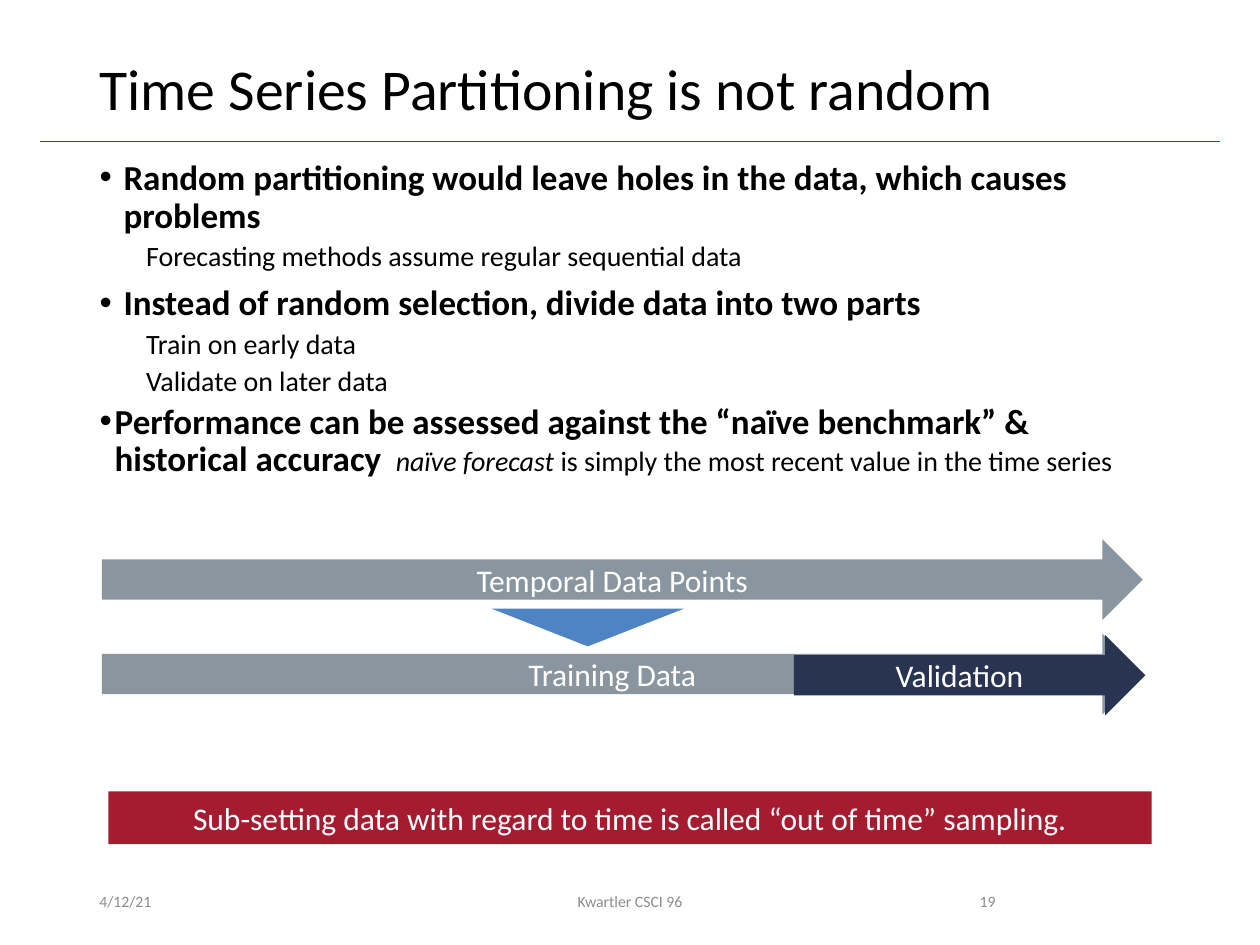
from pptx import Presentation
from pptx.dml.color import RGBColor
from pptx.enum.shapes import MSO_CONNECTOR, MSO_SHAPE
from pptx.enum.text import MSO_ANCHOR, MSO_AUTO_SIZE, PP_ALIGN
from pptx.oxml.ns import qn
from pptx.util import Inches, Pt
from lxml.etree import SubElement

BLACK = RGBColor(0x00, 0x00, 0x00)
WHITE = RGBColor(0xFF, 0xFF, 0xFF)
GREY = RGBColor(0x89, 0x96, 0xA0)
NAVY = RGBColor(0x29, 0x33, 0x52)
BLUE = RGBColor(0x4E, 0x84, 0xC4)
RED = RGBColor(0xA5, 0x1C, 0x30)
PALE = RGBColor(0x8C, 0x8C, 0x8C)

HEAD, SUB, LAST = "head", "sub", "last"
STYLES = {
    HEAD: (0, 0.19, -0.19, 7.5, "•", 20, True),
    SUB: (1, 0.56, -0.19, 3.8, None, 16, False),
    LAST: (1, 0.12, -0.12, 3.8, "•", 20, True),
}
POINTS = [
    (HEAD, "Random partitioning would leave holes in the data, which causes problems"),
    (SUB, "Forecasting methods assume regular sequential data"),
    (HEAD, "Instead of random selection, divide data into two parts"),
    (SUB, "Train on early data"),
    (SUB, "Validate on later data"),
    (LAST, "Performance can be assessed against the “naïve benchmark” & historical accuracy "),
]
TAIL = [
    (" ", False),
    ("naïve forecast ", True),
    ("is simply the most recent value in the time series", False),
]


def place(shape, box):
    shape.left, shape.top, shape.width, shape.height = map(Inches, box)


def style(run, size, color, bold=False, italic=False):
    font = run.font
    font.name, font.size = "Calibri", Pt(size)
    font.bold, font.italic = bold, italic
    font.color.rgb = color


def write(frame, text, size, color, align, anchor=MSO_ANCHOR.MIDDLE):
    frame.text = text
    frame.word_wrap = True
    frame.auto_size = MSO_AUTO_SIZE.NONE
    frame.vertical_anchor = anchor
    para = frame.paragraphs[0]
    para.alignment = align
    style(para.runs[0], size, color)
    return para


def set_bullet(para, margin, indent, mark):
    props = para._p.get_or_add_pPr()
    props.set("marL", str(Inches(margin)))
    props.set("indent", str(Inches(indent)))
    if mark:
        SubElement(props, qn("a:buFont")).set("typeface", "Arial")
        SubElement(props, qn("a:buChar")).set("char", mark)
    else:
        SubElement(props, qn("a:buNone"))


def add_title(slide, box):
    title = slide.shapes.title
    place(title, box)
    para = write(title.text_frame, "Time Series Partitioning is not random",
                 33, BLACK, PP_ALIGN.LEFT)
    para.line_spacing = 0.9


def add_rule(slide, left, right, top):
    rule = slide.shapes.add_connector(
        MSO_CONNECTOR.STRAIGHT, Inches(left), Inches(top), Inches(right), Inches(top))
    rule.line.color.rgb = RED
    rule.line.width = Pt(0.5)
    SubElement(rule._element.spPr, qn("a:effectLst"))


def add_points(slide, box):
    body = slide.placeholders[1]
    place(body, box)
    frame = body.text_frame
    frame.word_wrap = True
    frame.auto_size = MSO_AUTO_SIZE.NONE
    frame.vertical_anchor = MSO_ANCHOR.TOP
    frame.text = "\n".join(text for _, text in POINTS)
    for para, (kind, _) in zip(frame.paragraphs, POINTS):
        level, margin, indent, before, mark, size, bold = STYLES[kind]
        para.level = level
        para.line_spacing = 0.9
        para.space_before = Pt(before)
        set_bullet(para, margin, indent, mark)
        style(para.runs[0], size, BLACK, bold)
    for text, italic in TAIL:
        run = para.add_run()
        run.text = text
        style(run, 16, BLACK, italic=italic)


def add_block(slide, kind, box, color, text=None):
    block = slide.shapes.add_shape(kind, *map(Inches, box))
    block.shadow.inherit = False
    block.fill.solid()
    block.fill.fore_color.rgb = color
    block.line.fill.background()
    if text:
        write(block.text_frame, text, 18, WHITE, PP_ALIGN.CENTER)
    return block


def add_split(slide, box):
    left, top, width, height = box
    arrow = MSO_SHAPE.RIGHT_ARROW
    add_block(slide, arrow, box, GREY, "Temporal Data Points")
    add_block(slide, arrow, (left, top + 0.75, width, height), GREY, "Training Data")
    add_block(slide, arrow, (left + 5.49, top + 0.76, 2.79, height), NAVY, "Validation")
    wedge = add_block(slide, MSO_SHAPE.ISOSCELES_TRIANGLE,
                      (left + 3.09, top + 0.55, 1.53, 0.3), BLUE)
    wedge.rotation = 180


def add_footer(slide, top, height):
    for left, width, text, align in (
        (0.69, 2.25, "4/12/21", PP_ALIGN.LEFT),
        (7.06, 0.94, "19", PP_ALIGN.RIGHT),
        (3.31, 3.38, "Kwartler CSCI 96", PP_ALIGN.CENTER),
    ):
        note = slide.shapes.add_textbox(*map(Inches, (left, top, width, height)))
        write(note.text_frame, text, 9, PALE, align)


def main():
    deck = Presentation()
    deck.slide_width, deck.slide_height = Inches(10), Inches(7.5)
    slide = deck.slides.add_slide(deck.slide_layouts[1])
    add_rule(slide, 0.32, 9.68, 1.12)
    add_title(slide, (0.69, 0.4, 8.62, 0.65))
    add_points(slide, (0.69, 1.22, 8.62, 3.61))
    add_split(slide, (0.81, 4.28, 8.26, 0.64))
    add_block(slide, MSO_SHAPE.RECTANGLE, (0.86, 6.28, 8.28, 0.42), RED,
              "Sub-setting data with regard to time is called “out of time” sampling.")
    add_footer(slide, 6.95, 0.4)
    deck.save("out.pptx")


if __name__ == "__main__":
    main()
